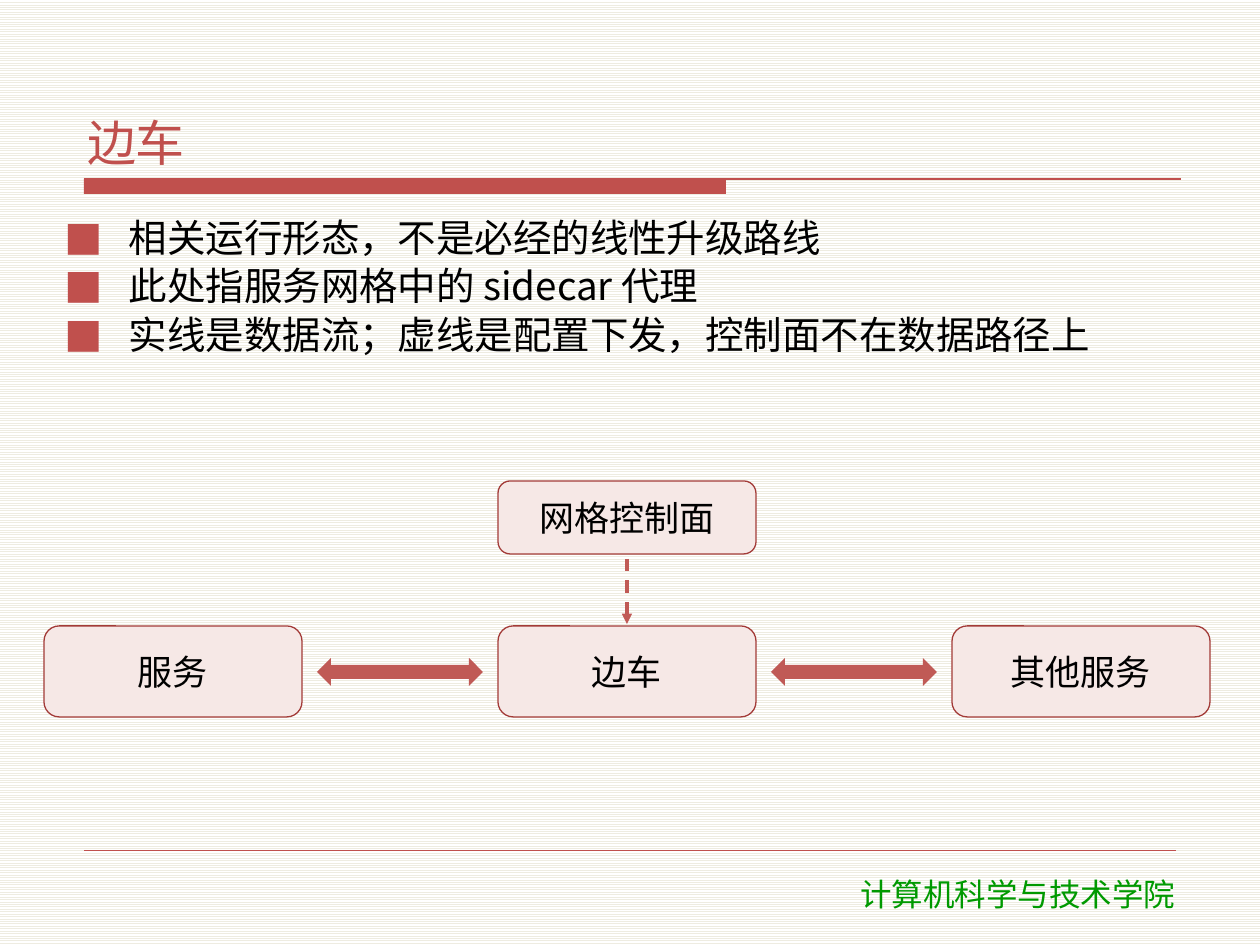
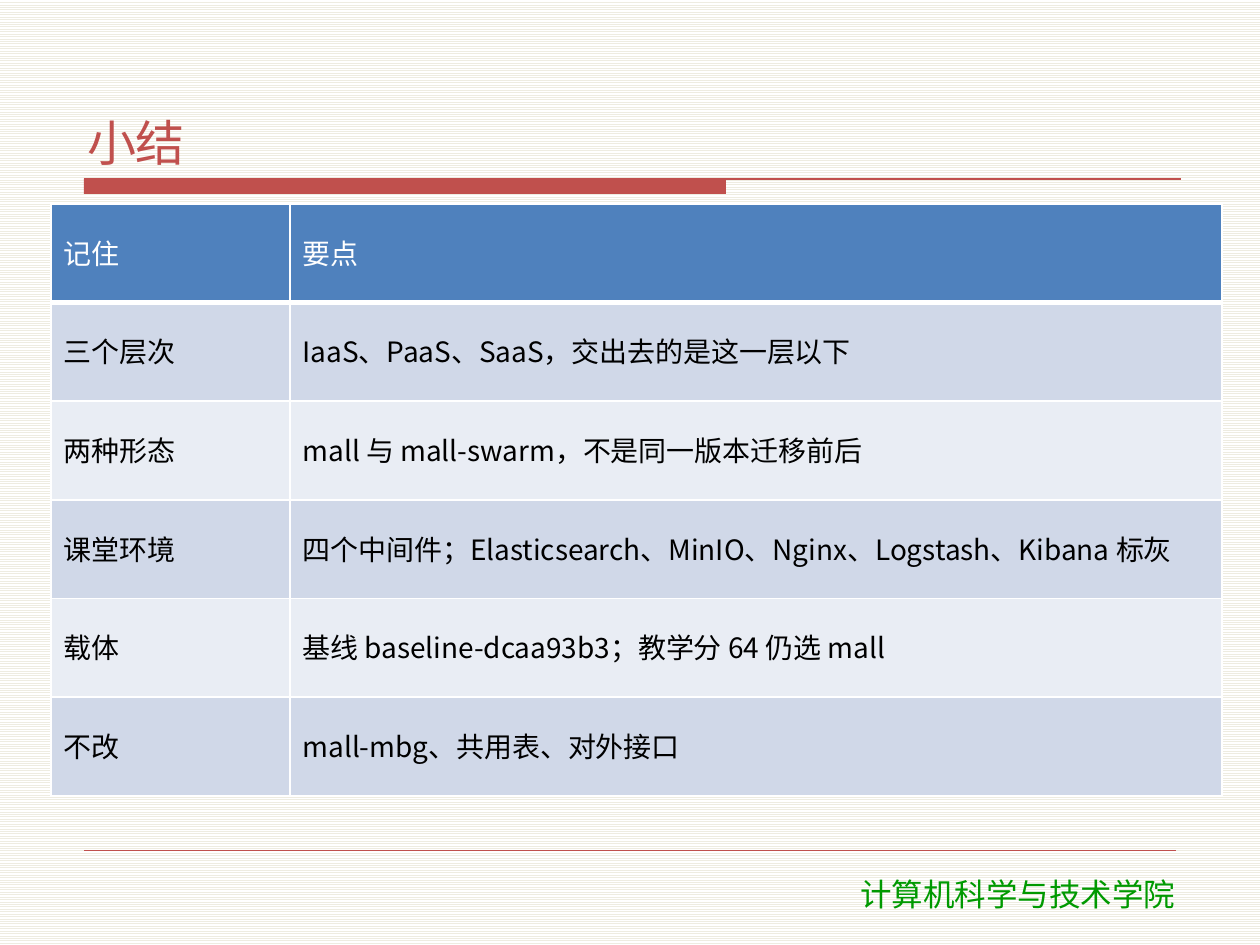
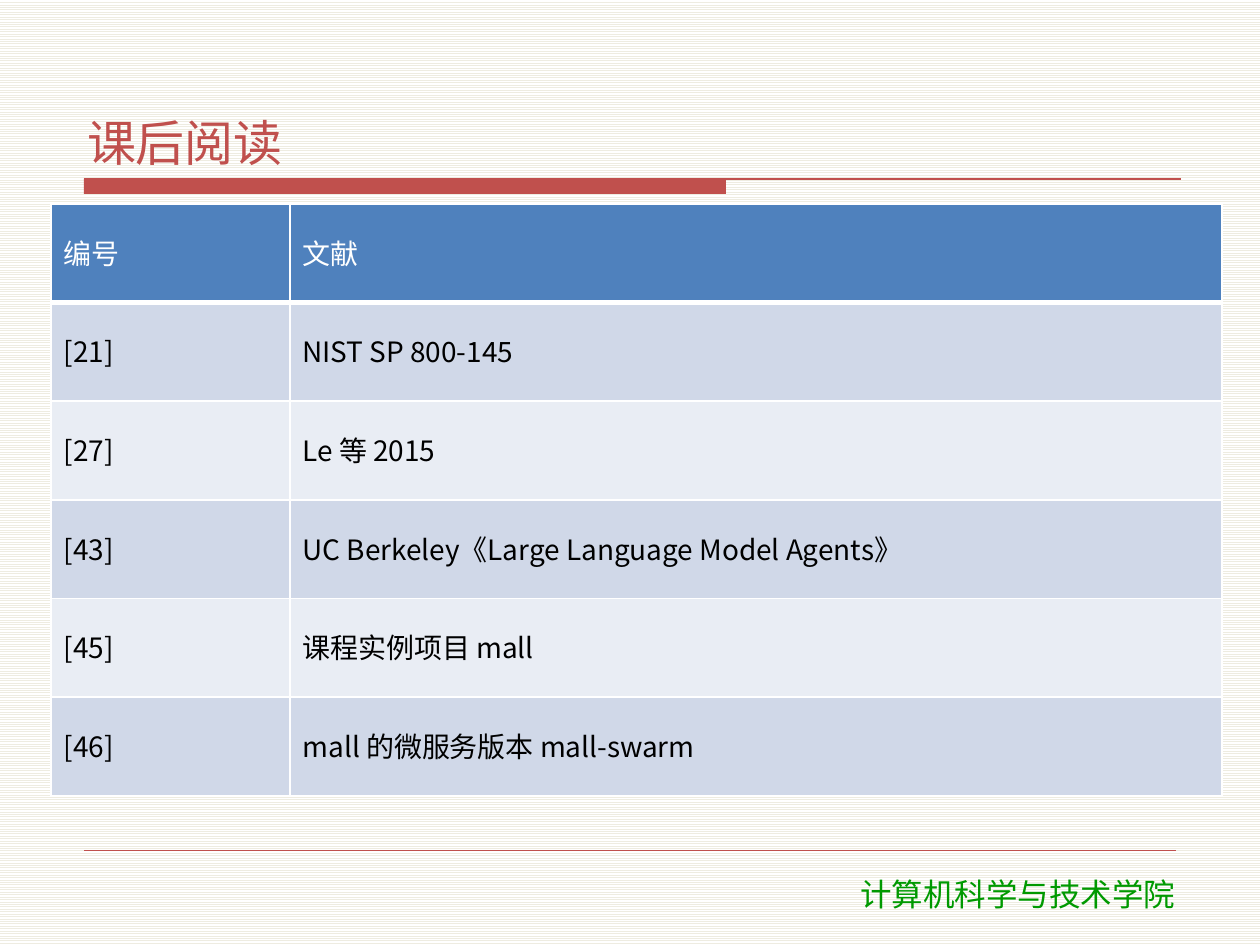
"""Build three lecture slides: sidecar diagram, summary and reading list."""
from lxml import etree
from pptx import Presentation
from pptx.dml.color import RGBColor
from pptx.enum.dml import MSO_LINE, MSO_PATTERN
from pptx.enum.shapes import MSO_CONNECTOR, MSO_SHAPE
from pptx.enum.text import MSO_ANCHOR, MSO_AUTO_SIZE, PP_ALIGN
from pptx.oxml.ns import qn
from pptx.util import Emu, Pt

STRAIGHT = MSO_CONNECTOR.STRAIGHT
RECT = MSO_SHAPE.RECTANGLE
ROUND_RECT = MSO_SHAPE.ROUNDED_RECTANGLE
DOUBLE_ARROW = MSO_SHAPE.LEFT_RIGHT_ARROW
DASH = MSO_LINE.DASH
LIGHT_HORIZONTAL = MSO_PATTERN.LIGHT_HORIZONTAL
TOP, MIDDLE, BOTTOM = MSO_ANCHOR.TOP, MSO_ANCHOR.MIDDLE, MSO_ANCHOR.BOTTOM
LEFT, CENTER = PP_ALIGN.LEFT, PP_ALIGN.CENTER
NO_AUTOFIT = MSO_AUTO_SIZE.NONE

COLORS = {
    "accent": "C0504D", "arrow": "C05A56", "box": "F6E8E6", "edge": "A33B38",
    "footer": "009900", "stripe": "EEECE1", "white": "FFFFFF", "black": "000000",
    "header": "4F81BD", "odd": "D0D8E8", "even": "E9EDF4",
}
FONT = "Noto Sans CJK SC"
FOOTER_FONT = "DejaVu Sans"

SUMMARY = [
    ("记住", "要点"),
    ("三个层次", "IaaS、PaaS、SaaS，交出去的是这一层以下"),
    ("两种形态", "mall 与 mall-swarm，不是同一版本迁移前后"),
    ("课堂环境", "四个中间件；Elasticsearch、MinIO、Nginx、Logstash、Kibana 标灰"),
    ("载体", "基线 baseline-dcaa93b3；教学分 64 仍选 mall"),
    ("不改", "mall-mbg、共用表、对外接口"),
]
READING = [
    ("编号", "文献"),
    ("[21]", "NIST SP 800-145"),
    ("[27]", "Le 等 2015"),
    ("[43]", "UC Berkeley《Large Language Model Agents》"),
    ("[45]", "课程实例项目 mall"),
    ("[46]", "mall 的微服务版本 mall-swarm"),
]


def px(n):
    """Convert pixels to EMU."""
    return Emu(round(n * 914400 / 126))


def rgb(name):
    """Look up a palette colour."""
    return RGBColor.from_string(COLORS[name])


def add_bullet(p):
    """Give a paragraph a hanging square bullet."""
    pPr = p._p.get_or_add_pPr()
    pPr.set("marL", str(px(64)))
    pPr.set("indent", str(-px(64)))
    clr = etree.SubElement(pPr, qn("a:buClr"))
    etree.SubElement(clr, qn("a:srgbClr"), val=COLORS["accent"])
    etree.SubElement(pPr, qn("a:buFont"), typeface=FONT)
    etree.SubElement(pPr, qn("a:buChar"), char="■")


def write(tf, text, size, color="black", font=FONT, align=LEFT, anchor=TOP,
          bullet=False, before=0, after=0, spacing=None):
    """Write one paragraph for each line of text."""
    tf.word_wrap = True
    tf.vertical_anchor = anchor
    for i, line in enumerate(text.split("\n")):
        p = tf.paragraphs[0] if i == 0 else tf.add_paragraph()
        if bullet:
            add_bullet(p)
        p.alignment = align
        p.space_before = Pt(before if i else 0)
        p.space_after = Pt(after)
        p.line_spacing = spacing
        r = p.add_run()
        r.text = line
        r.font.size = Pt(size)
        r.font.bold = False
        r.font.name = font
        r.font.color.rgb = rgb(color)
        etree.SubElement(r._r.get_or_add_rPr(), qn("a:ea"), typeface=font)


def set_insets(tf, side, edge):
    """Set the inner margins of a text frame."""
    tf.margin_left = tf.margin_right = px(side)
    tf.margin_top = tf.margin_bottom = px(edge)


def fill_placeholder(sp, box, text, size, **fmt):
    """Move a placeholder and write its text."""
    sp.left, sp.top, sp.width, sp.height = map(px, box)
    tf = sp.text_frame
    tf.auto_size = NO_AUTOFIT
    set_insets(tf, 8, 2)
    write(tf, text, size, **fmt)


def add_box(slide, kind, box, fill, line=None, text=None):
    """Add a preset shape with an optional outline and label."""
    sp = slide.shapes.add_shape(kind, *map(px, box))
    sp.shadow.inherit = False
    sp.fill.solid()
    sp.fill.fore_color.rgb = rgb(fill)
    if line:
        sp.line.color.rgb = rgb(line)
        sp.line.width = Pt(0.75)
    else:
        sp.line.fill.background()
    if text:
        set_insets(sp.text_frame, 8, 2)
        write(sp.text_frame, text, 20, align=CENTER, anchor=MIDDLE)


def add_line(slide, ends, color, width, dash=None, arrow=False):
    """Add a straight line, optionally dashed or with an arrowhead."""
    c = slide.shapes.add_connector(STRAIGHT, *map(px, ends))
    c.line.color.rgb = rgb(color)
    c.line.width = Pt(width)
    if dash:
        c.line.dash_style = dash
    if arrow:
        etree.SubElement(c.line._get_or_add_ln(), qn("a:tailEnd"), type="triangle")
    etree.SubElement(c._element.spPr, qn("a:effectLst"))


def set_background(master):
    """Give every slide the fine striped background."""
    fill = master.background.fill
    fill.patterned()
    fill.pattern = LIGHT_HORIZONTAL
    fill.fore_color.rgb = rgb("stripe")
    fill.back_color.rgb = rgb("white")


def add_slide(prs, layout, title):
    """Add a slide with its title, title bar and footer."""
    slide = prs.slides.add_slide(prs.slide_layouts.get_by_name(layout))
    add_box(slide, RECT, (84, 179, 642, 15), "accent")
    add_line(slide, (84, 179, 1181, 179), "accent", 0.75)
    add_line(slide, (84, 850, 1176, 850), "accent", 0.25)
    footer = slide.shapes.add_textbox(*map(px, (765, 869, 506, 50)))
    write(footer.text_frame, "计算机科学与技术学院", 18, color="footer",
          font=FOOTER_FONT, align=CENTER)
    fill_placeholder(slide.shapes.title, (79, 42, 1102, 132), title, 28,
                     color="accent", anchor=BOTTOM, spacing=0.9)
    return slide


def add_borders(cell, bottom):
    """Draw white borders around a table cell."""
    tcPr = cell._tc.get_or_add_tcPr()
    for side, width in (("L", 1), ("R", 1), ("T", 1), ("B", bottom)):
        ln = etree.SubElement(tcPr, qn(f"a:ln{side}"), w=str(Pt(width)))
        fill = etree.SubElement(ln, qn("a:solidFill"))
        etree.SubElement(fill, qn("a:srgbClr"), val=COLORS["white"])


def add_grid(slide, rows):
    """Add a two-column table with a header and banded rows."""
    frame = slide.shapes.add_table(len(rows), 2, *map(px, (51, 204, 1171, 592)))
    table = frame.table
    table.horz_banding = False
    for col, width in zip(table.columns, (239, 932)):
        col.width = px(width)
    for i, row in enumerate(rows):
        band = "header" if i == 0 else "odd" if i % 2 else "even"
        for j, text in enumerate(row):
            cell = table.cell(i, j)
            add_borders(cell, 1 if i else 3)
            cell.fill.solid()
            cell.fill.fore_color.rgb = rgb(band)
            write(cell.text_frame, text, 16, spacing=0.9,
                  color="black" if i else "white")
            cell.vertical_anchor = MIDDLE


def sidecar_slide(prs):
    """Build the sidecar slide with its list and diagram."""
    slide = add_slide(prs, "Title and Content", "边车")
    fill_placeholder(slide.placeholders[1], (57, 217, 1147, 255),
                     "相关运行形态，不是必经的线性升级路线\n"
                     "此处指服务网格中的 sidecar 代理\n"
                     "实线是数据流；虚线是配置下发，控制面不在数据路径上",
                     22, bullet=True, before=2, after=2, spacing=0.9)
    left, step, width, gap = 44, 454, 258, 15
    add_box(slide, ROUND_RECT, (left + step, 481, width, 73), "box", "edge", "网格控制面")
    for i, name in enumerate(("服务", "边车", "其他服务")):
        x = left + i * step
        add_box(slide, ROUND_RECT, (x, 626, width, 91), "box", "edge", name)
        if i < 2:
            add_box(slide, DOUBLE_ARROW,
                    (x + width + gap, 658, step - width - 2 * gap, 28), "arrow")
    middle = left + step + width // 2
    add_line(slide, (middle, 559, middle, 624), "arrow", 1.75, DASH, arrow=True)


def main():
    """Build and save the presentation."""
    prs = Presentation()
    prs.slide_width, prs.slide_height = px(1260), px(945)
    set_background(prs.slide_master)
    sidecar_slide(prs)
    add_grid(add_slide(prs, "Title Only", "小结"), SUMMARY)
    add_grid(add_slide(prs, "Title Only", "课后阅读"), READING)
    prs.save("out.pptx")


if __name__ == "__main__":
    main()
